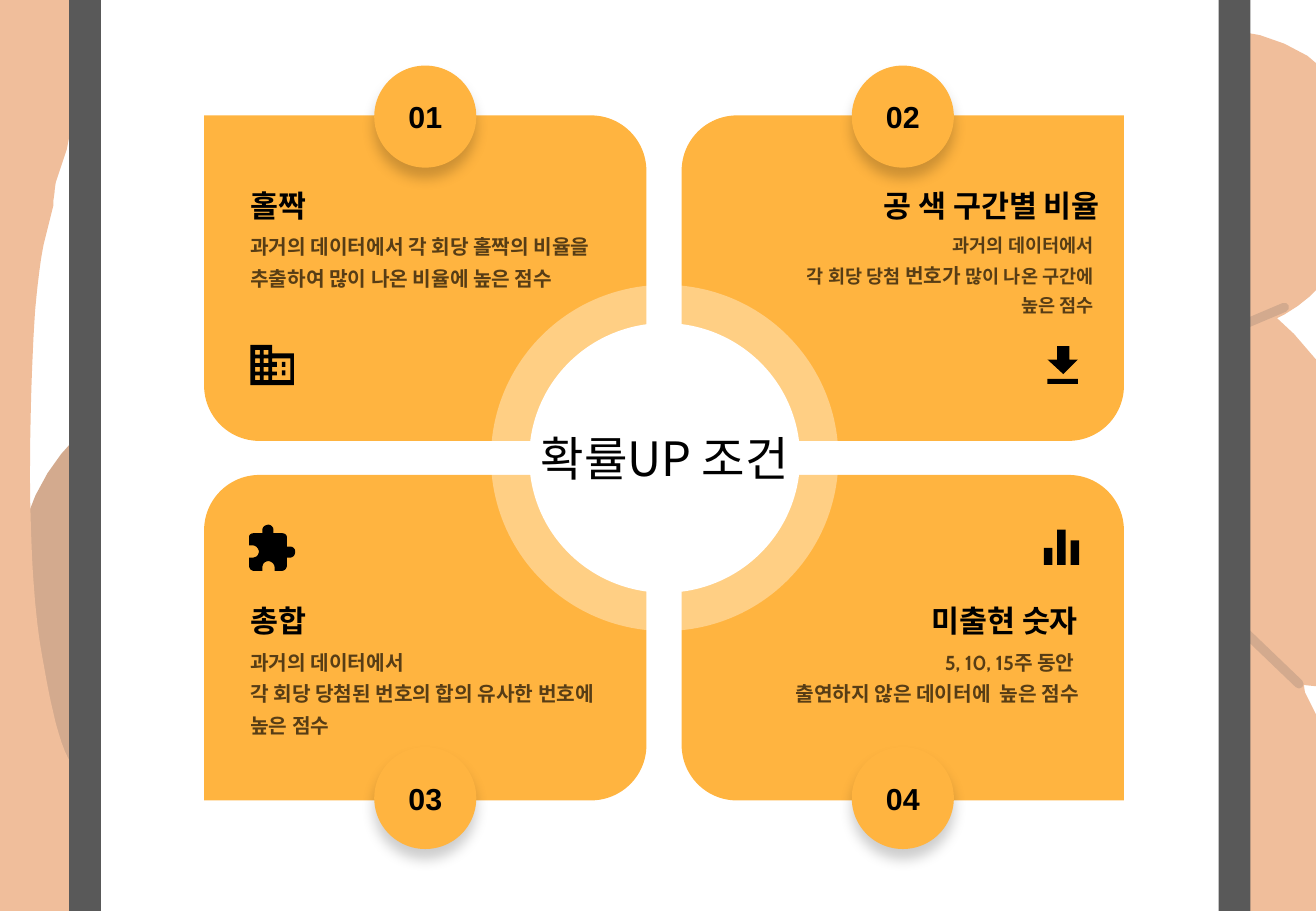
from pptx import Presentation
from pptx.dml.color import RGBColor
from pptx.enum.shapes import MSO_CONNECTOR as CONNECTOR, MSO_SHAPE as SHAPE
from pptx.enum.text import MSO_ANCHOR as ANCHOR, PP_ALIGN as ALIGN
from pptx.oxml.ns import qn
from pptx.util import Inches, Pt
from lxml.etree import SubElement

WIDTH, HEIGHT = 10.83, 7.5
WHITE = RGBColor(0xFF, 0xFF, 0xFF)
BLACK = RGBColor(0x00, 0x00, 0x00)
ORANGE = RGBColor(0xFF, 0xB4, 0x40)
GREY = RGBColor(0x59, 0x59, 0x59)
SKIN = RGBColor(0xF0, 0xBE, 0x9B)
SKIN_SHADE = RGBColor(0xD3, 0xAA, 0x8E)
SANS, BODY, DIGITS = "Noto Sans CJK KR", "Cabin", "Arial"

CARD_W, CARD_H, BADGE = 3.64, 2.68, 0.84
ROUND = 0.17

# Outlines: pairs are corners, six numbers are a Bezier curve
THUMB = [(0.08, 5.1), (0.11, 3.81, 0.78, 3.4, 1.28, 3.17),
         (1.78, 2.93, 2.65, 3.21, 3.07, 3.7), (3.5, 4.19, 3.83, 5.5, 3.83, 6.11),
         (3.84, 6.73, 3.57, 7.16, 3.11, 7.37), (2.66, 7.58, 1.57, 7.49, 1.08, 7.37),
         (0.6, 7.25, 0.36, 7.02, 0.2, 6.65), (0.04, 6.28, 0.06, 6.39, 0.08, 5.1)]
LEFT_HAND = [(0, 0), (0.68, 0), (0.68, 0.29), (0.68, 0.37, 0.67, 0.46, 0.67, 0.55),
             (0.65, 0.66, 0.58, 1.05, 0.57, 1.13), (0.55, 1.23), (0.46, 1.5),
             (0.45, 1.55, 0.45, 1.6, 0.44, 1.65), (0.44, 1.69), (0.36, 2.01),
             (0.33, 2.16, 0.31, 2.34, 0.29, 2.55), (0.26, 2.97, 0.24, 3.7, 0.25, 4.16),
             (0.26, 4.62, 0.28, 4.95, 0.33, 5.3), (0.39, 5.65, 0.47, 6.12, 0.59, 6.29),
             (0.64, 6.47), (0.7, 6.86), (0.76, 7.5), (0, 7.5)]
RIGHT_HAND = [(0.36, 0.27), (0.47, 0.29), (0.67, 0.36), (0.86, 0.46), (0.93, 0.52),
              (0.93, 2.39), (0.88, 2.44), (0.78, 2.52), (0.67, 2.59), (0.61, 2.62),
              (0.75, 2.75), (0.93, 2.96), (0.93, 5.65), (0.83, 5.64), (0.84, 5.7),
              (0.89, 5.8), (0.93, 5.88), (0.93, 7.5), (0, 7.5), (0, 6.8), (0.07, 6.38),
              (0.31, 5.6), (0.19, 4.9), (0.19, 3.95), (0.34, 2.99), (0.3, 2.14)]


def rectangle_points(left, top, width, height):
    return [(left, top), (left + width, top),
            (left + width, top + height), (left, top + height)]


# Icons, each a list of outlines measured from the icon's corner
BUILDING = [
    [(0, 0), (0.18, 0), (0.18, 0.07), (0.36, 0.07), (0.36, 0.33), (0, 0.33)],
    *[rectangle_points(x, 0.04 + row * 0.07, 0.04, 0.04)
      for x in (0.04, 0.11) for row in range(4)],
    [(0.18, 0.11), (0.33, 0.11), (0.33, 0.29), (0.18, 0.29), (0.18, 0.25), (0.22, 0.25),
     (0.22, 0.22), (0.18, 0.22), (0.18, 0.18), (0.22, 0.18), (0.22, 0.14), (0.18, 0.14)],
    *[rectangle_points(0.26, y, 0.03, 0.04) for y in (0.14, 0.21)]]
DOWNLOAD = [
    [(0.25, 0.11), (0.18, 0.11), (0.18, 0), (0.08, 0), (0.08, 0.11), (0, 0.11), (0.13, 0.23)],
    rectangle_points(0, 0.27, 0.25, 0.04)]
PUZZLE = [[
    (0.34, 0.18), (0.31, 0.18), (0.31, 0.1), (0.31, 0.08, 0.29, 0.07, 0.27, 0.07),
    (0.2, 0.07), (0.2, 0.04), (0.2, 0.02, 0.18, 0, 0.16, 0),
    (0.13, 0, 0.11, 0.02, 0.11, 0.04), (0.11, 0.07), (0.04, 0.07),
    (0.02, 0.07, 0, 0.08, 0, 0.1), (0, 0.17), (0.03, 0.17),
    (0.06, 0.17, 0.08, 0.2, 0.08, 0.22), (0.08, 0.25, 0.06, 0.27, 0.03, 0.27),
    (0, 0.27), (0, 0.34), (0, 0.36, 0.02, 0.38, 0.04, 0.38), (0.11, 0.38), (0.11, 0.35),
    (0.11, 0.32, 0.13, 0.3, 0.16, 0.3), (0.18, 0.3, 0.21, 0.32, 0.21, 0.35),
    (0.21, 0.38), (0.27, 0.38), (0.29, 0.38, 0.31, 0.36, 0.31, 0.34), (0.31, 0.27),
    (0.34, 0.27), (0.36, 0.27, 0.38, 0.25, 0.38, 0.22), (0.38, 0.2, 0.36, 0.18, 0.34, 0.18)]]
BARS = [rectangle_points(x, y, 0.07, 0.29 - y) for x, y in ((0, 0.15), (0.11, 0), (0.22, 0.09))]


def paint(shape, color, alpha=None):
    shape.shadow.inherit = False
    shape.fill.solid()
    shape.fill.fore_color.rgb = color
    shape.line.fill.background()
    if alpha:
        add_alpha(shape._element.spPr.find(qn("a:solidFill")), alpha)


def add_alpha(solid_fill, percent):
    SubElement(solid_fill[0], qn("a:alpha")).set("val", str(percent * 1000))


def add_shape(slide, kind, left, top, width, height, color, alpha=None):
    shape = slide.shapes.add_shape(kind, *map(Inches, (left, top, width, height)))
    paint(shape, color, alpha)
    return shape


def flatten(outline, steps=12):
    points = []
    for node in outline:
        if len(node) == 2:
            points.append(node)
            continue
        (x0, y0), (x1, y1, x2, y2, x3, y3) = points[-1], node
        for step in range(1, steps + 1):
            t = step / steps
            a, b, c, d = (1 - t) ** 3, 3 * t * (1 - t) ** 2, 3 * t * t * (1 - t), t ** 3
            points.append((a * x0 + b * x1 + c * x2 + d * x3,
                           a * y0 + b * y1 + c * y2 + d * y3))
    return [(x * 1000, y * 1000) for x, y in points]


def add_outlines(slide, left, top, outlines, color):
    first, *others = map(flatten, outlines)
    builder = slide.shapes.build_freeform(*first[0], scale=Inches(1) / 1000)
    builder.add_line_segments(first[1:], close=True)
    for points in others:
        builder.move_to(*points[0])
        builder.add_line_segments(points[1:], close=True)
    paint(builder.convert_to_shape(Inches(left), Inches(top)), color)


def write(shape, lines, font_name, bold=True, align=ALIGN.LEFT, anchor=ANCHOR.MIDDLE,
          spacing=None, alpha=None):
    """Each line is a list of (text, size) runs."""
    frame = shape.text_frame
    frame.word_wrap = True
    frame.vertical_anchor = anchor
    frame.margin_left = frame.margin_right = frame.margin_top = frame.margin_bottom = 0
    for index, runs in enumerate(lines):
        paragraph = frame.add_paragraph() if index else frame.paragraphs[0]
        paragraph.alignment = align
        paragraph.line_spacing = spacing
        for text, size in runs:
            run = paragraph.add_run()
            run.text = text
            run.font.size, run.font.bold, run.font.name = Pt(size), bold, font_name
            run.font.color.rgb = BLACK
            properties = run.font._element
            SubElement(properties, qn("a:ea")).set("typeface", font_name)
            if alpha:
                add_alpha(properties.find(qn("a:solidFill")), alpha)


def add_text(slide, left, top, width, height, lines, font_name, **style):
    box = slide.shapes.add_textbox(*map(Inches, (left, top, width, height)))
    write(box, lines, font_name, **style)


def add_background(slide, width, height):
    right = width - 0.93
    add_outlines(slide, 0, 0, [THUMB], SKIN_SHADE)
    add_outlines(slide, right, 0, [RIGHT_HAND], SKIN)
    add_outlines(slide, 0, 0, [LEFT_HAND], SKIN)
    # Finger creases
    for x1, y1, x2, y2 in ((0.67, 2.53, 0.34, 2.67), (0.79, 5.63, 0.3, 5.16)):
        crease = slide.shapes.add_connector(CONNECTOR.STRAIGHT, Inches(right + x1), Inches(y1),
                                            Inches(right + x2), Inches(y2))
        crease.line.color.rgb, crease.line.width = SKIN_SHADE, Pt(5.5)
        properties = crease._element.spPr
        properties.find(qn("a:ln")).set("cap", "rnd")
        SubElement(properties, qn("a:effectLst"))
    # Tablet screen and its side frames
    add_shape(slide, SHAPE.RECTANGLE, 0.57, 0, 9.7, height, WHITE)
    for left in (0.57, right + 0.13):
        add_shape(slide, SHAPE.RECTANGLE, left, 0, 0.26, height, GREY)


def add_badge(slide, left, top, number):
    badge = add_shape(slide, SHAPE.OVAL, left, top, BADGE, BADGE, ORANGE)
    shadow = SubElement(badge._element.spPr.find(qn("a:effectLst")), qn("a:outerShdw"),
                        blurRad=str(Pt(8)), dist=str(Pt(6)), dir="5400000",
                        algn="t", rotWithShape="0")
    color = SubElement(shadow, qn("a:srgbClr"), val=str(BLACK))
    SubElement(color, qn("a:alpha"), val="20000")
    write(badge, [[(number, 18)]], DIGITS, align=ALIGN.CENTER)


def add_center(slide, x, y):
    for width, height, alpha in ((2.86, 2.85, 36), (2.23, 2.22, None)):
        add_shape(slide, SHAPE.OVAL, x - width / 2, y - height / 2, width, height, WHITE, alpha)
    add_text(slide, x - 1.14, y - 0.42, 2.28, 0.84, [[("확률UP 조건", 28)]], SANS,
             bold=False, align=ALIGN.CENTER)


def add_card_content(slide, left, top, is_right, is_lower, number, title, title_x,
                     lines, body_x, body_width, icon, icon_x, icon_y):
    align = ALIGN.RIGHT if is_right else ALIGN.LEFT
    text_top = top + (1.05 if is_lower else 0.59)
    add_text(slide, left + body_x, text_top + 0.33, body_width, 0.76, lines, BODY,
             align=align, anchor=ANCHOR.TOP, spacing=1.3, alpha=65)
    add_text(slide, left + title_x, text_top, 2.88, 0.3, [[(title, 18)]], SANS, align=align)
    add_badge(slide, left + (CARD_W - BADGE) / 2, top + (2.24 if is_lower else -0.41), number)
    add_outlines(slide, left + icon_x, top + icon_y, icon, BLACK)


CARDS = [
    ("01", "홀짝", 0.38,
     [[("과거의 데이터에서 각 회당 홀짝의 비율을 추출하여 많이 나온 비율에 높은 점수", 12)]],
     0.38, 2.88, BUILDING, 0.38, 1.89),
    ("02", "공 색 구간별 비율", 0.56,
     [[("과거의 데이터에서 ", 11)],
      [("각 회당 당첨 ", 11), ("번호가", 12), (" 많이 나온 구간에 ", 11)],
      [("높은 점수 ", 11)]],
     0.17, 3.26, DOWNLOAD, 3.01, 1.9),
    ("03", "총합", 0.38,
     [[("과거의 데이터에서", 12)], [("각 회당 당첨된 번호의 합의 유사한 번호에 높은 점수", 12)]],
     0.38, 2.88, PUZZLE, 0.37, 0.41),
    ("04", "미출현 숫자", 0.38,
     [[("5, 10, 15주 동안 ", 12)], [("출연하지 않은 데이터에  높은 점수", 12)]],
     0.45, 2.82, BARS, 2.98, 0.45)]


def add_cards(slide, left, top):
    places = [(left + column * 3.93, top + row * 2.96, column, row)
              for row in range(2) for column in range(2)]
    for x, y, column, row in places:
        card = add_shape(slide, SHAPE.ROUND_2_DIAG_RECTANGLE, x, y, CARD_W, CARD_H, ORANGE)
        corners = (ROUND, 0) if column != row else (0, ROUND)
        card.adjustments[0], card.adjustments[1] = corners
    add_center(slide, left + 3.79, top + 2.82)
    for place, content in zip(places, CARDS):
        add_card_content(slide, *place, *content)


def main():
    presentation = Presentation()
    presentation.slide_width, presentation.slide_height = Inches(WIDTH), Inches(HEIGHT)
    slide = presentation.slides.add_slide(presentation.slide_layouts[6])
    add_background(slide, WIDTH, HEIGHT)
    add_cards(slide, 1.68, 0.95)
    presentation.save("out.pptx")


if __name__ == "__main__":
    main()
